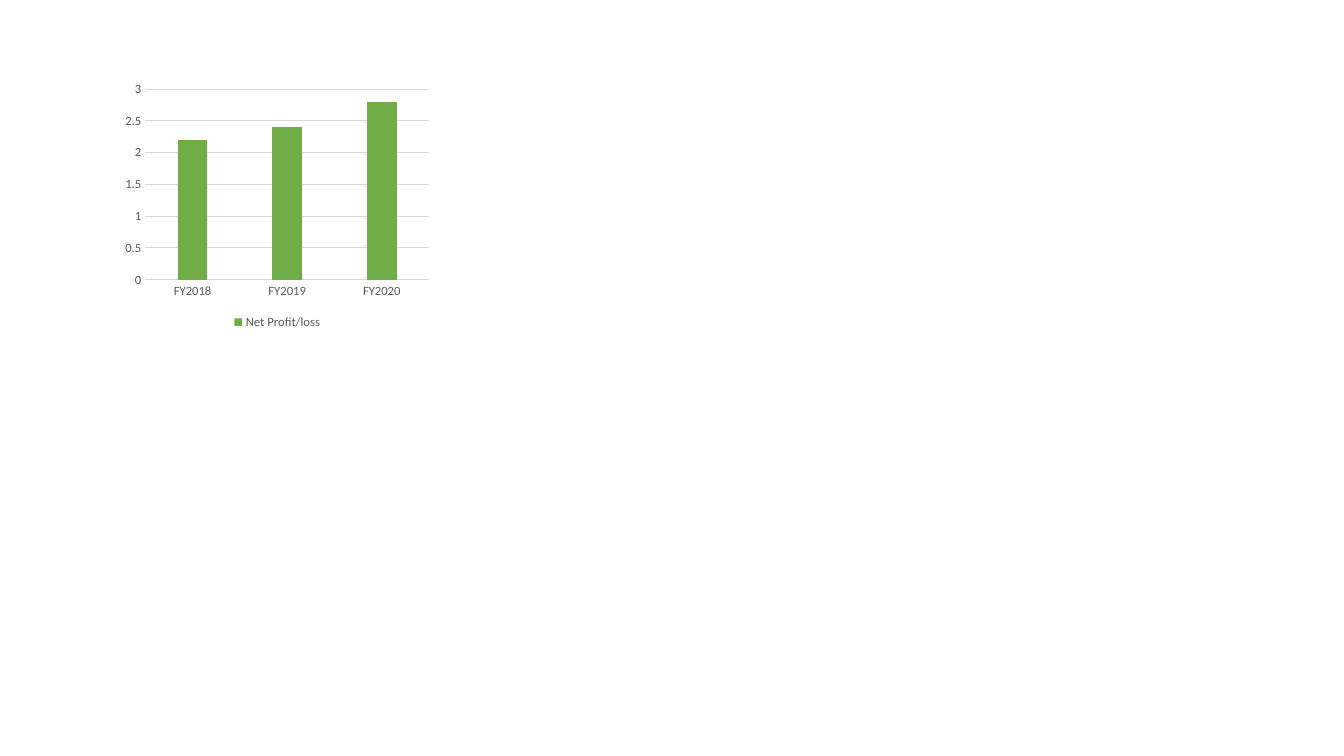
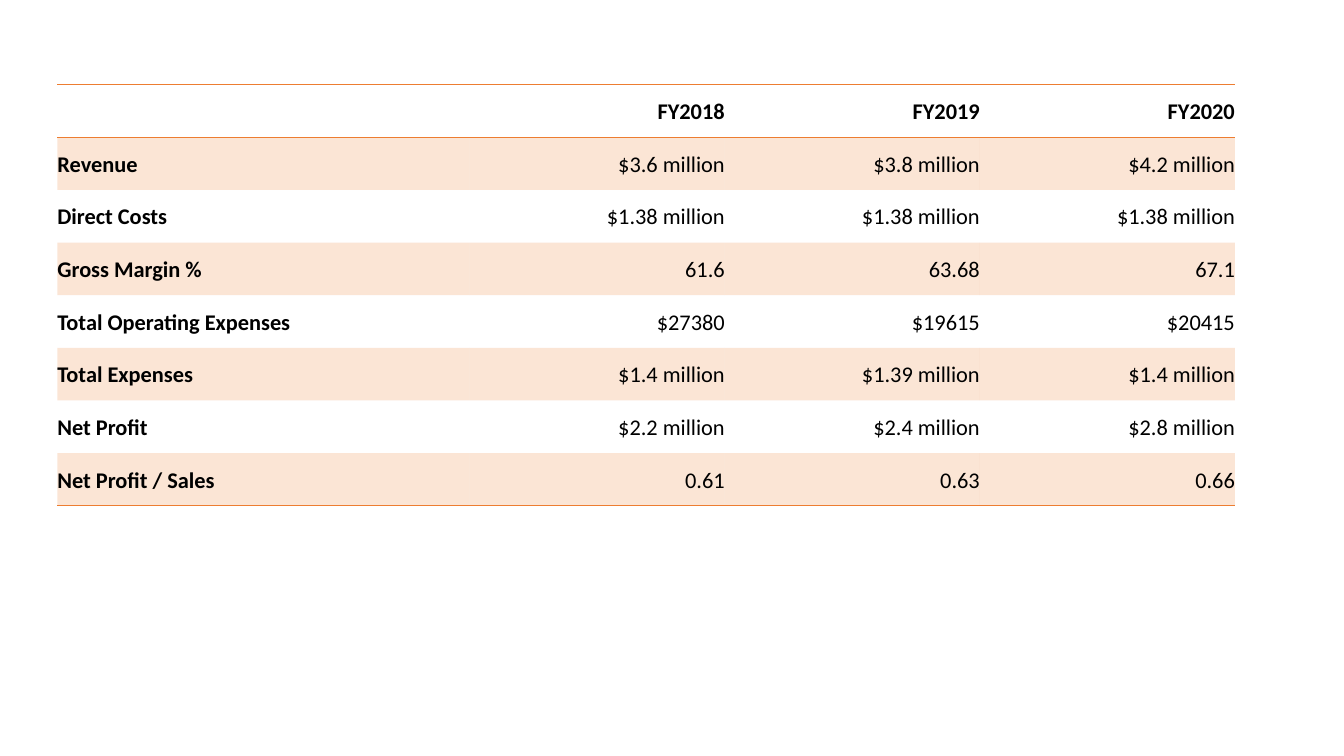
"""Build a net profit chart slide and a three-year financial summary slide."""
from lxml.etree import SubElement
from pptx import Presentation
from pptx.chart.data import CategoryChartData
from pptx.dml.color import RGBColor
from pptx.enum.chart import XL_CHART_TYPE as ChartType, XL_LEGEND_POSITION as LegendPosition
from pptx.enum.chart import XL_TICK_MARK as TickMark
from pptx.enum.text import MSO_ANCHOR as Anchor, PP_ALIGN as Align
from pptx.oxml.ns import qn
from pptx.util import Pt

YEARS = ["FY2018", "FY2019", "FY2020"]
PROFIT_NAME = "Net Profit/loss"
PROFITS = [2.2, 2.4, 2.8]
SUMMARY = [
    ["", *YEARS],
    ["Revenue", "$3.6 million", "$3.8 million", "$4.2 million"],
    ["Direct Costs", "$1.38 million", "$1.38 million", "$1.38 million"],
    ["Gross Margin %", "61.6", "63.68", "67.1"],
    ["Total Operating Expenses", "$27380", "$19615", "$20415"],
    ["Total Expenses", "$1.4 million", "$1.39 million", "$1.4 million"],
    ["Net Profit", "$2.2 million", "$2.4 million", "$2.8 million"],
    ["Net Profit / Sales", "0.61", "0.63", "0.66"],
]
COLORS = {"text": "000000", "label": "595959", "grid": "D9D9D9",
          "profit": "70AD47", "accent": "ED7D31"}
FONT = "Calibri"
CHART_BOX = (85, 54.7, 226, 183.6)
TABLE_LEFT, TABLE_TOP = 41, 60.5
LABEL_WIDTH, YEAR_WIDTH, ROW_HEIGHT = 294.5, 182.2, 37.6
BAND_OPACITY = 20


def color(name):
    return RGBColor.from_string(COLORS[name])


def style_font(font, size, name, bold=False):
    font.name, font.size, font.bold = FONT, Pt(size), bold
    font.color.rgb = color(name)


def style_line(line, name):
    line.color.rgb = color(name)
    line.width = Pt(0.75)


def add_profit_chart(page):
    data = CategoryChartData()
    data.categories = YEARS
    data.add_series(PROFIT_NAME, PROFITS)
    frame = page.shapes.add_chart(ChartType.COLUMN_CLUSTERED, *map(Pt, CHART_BOX), data)
    chart = frame.chart
    chart.has_title = False
    style_font(chart.font, 10, "text")
    chart.has_legend = True
    chart.legend.position = LegendPosition.BOTTOM
    chart.legend.include_in_layout = False
    style_font(chart.legend.font, 9, "label")
    for axis in (chart.category_axis, chart.value_axis):
        axis.major_tick_mark = axis.minor_tick_mark = TickMark.NONE
        style_font(axis.tick_labels.font, 9, "label")
    style_line(chart.category_axis.format.line, "grid")
    chart.value_axis.format.line.fill.background()
    style_line(chart.value_axis.major_gridlines.format.line, "grid")
    plot = chart.plots[0]
    plot.vary_by_categories = False
    plot.gap_width, plot.overlap = 219, -27
    fill = plot.series[0].format.fill
    fill.solid()
    fill.fore_color.rgb = color("profit")


def set_borders(cell, ruled_sides):
    properties = cell._tc.get_or_add_tcPr()
    for side in "LRTB":
        line = SubElement(properties, qn(f"a:ln{side}"), w=str(Pt(1)))
        if side in ruled_sides:
            solid = SubElement(line, qn("a:solidFill"))
            SubElement(solid, qn("a:srgbClr"), val=COLORS["accent"])
        else:
            SubElement(line, qn("a:noFill"))


def fill_band(cell, banded):
    if not banded:
        cell.fill.background()
        return
    cell.fill.solid()
    cell.fill.fore_color.rgb = color("accent")
    tint = cell._tc.tcPr.find(qn("a:solidFill")).find(qn("a:srgbClr"))
    SubElement(tint, qn("a:alpha"), val=str(BAND_OPACITY * 1000))


def add_summary_table(page):
    row_count, column_count = len(SUMMARY), len(SUMMARY[0])
    widths = [LABEL_WIDTH] + [YEAR_WIDTH] * len(YEARS)
    box = (TABLE_LEFT, TABLE_TOP, sum(widths), ROW_HEIGHT * row_count)
    table = page.shapes.add_table(row_count, column_count, *map(Pt, box)).table
    table.first_row = table.horz_banding = False
    for column, width in zip(table.columns, widths):
        column.width = Pt(width)
    ruled_sides = {0: "TB", 1: "T", row_count - 1: "B"}
    for row_index, texts in enumerate(SUMMARY):
        table.rows[row_index].height = Pt(ROW_HEIGHT)
        for column_index, text in enumerate(texts):
            cell = table.cell(row_index, column_index)
            cell.vertical_anchor = Anchor.MIDDLE
            cell.margin_left = cell.margin_right = 0
            cell.margin_top, cell.margin_bottom = Pt(1.5), Pt(3)
            set_borders(cell, ruled_sides.get(row_index, ""))
            fill_band(cell, row_index % 2 == 1)
            para = cell.text_frame.paragraphs[0]
            para.text = text
            para.line_spacing = 1.15
            para.alignment = Align.RIGHT if column_index else Align.LEFT
            style_font(para.font, 16, "text")
            for span in para.runs:
                style_font(span.font, 16, "text", row_index == 0 or column_index == 0)


deck = Presentation()
deck.slide_width, deck.slide_height = Pt(960), Pt(540)
for add_content in (add_profit_chart, add_summary_table):
    add_content(deck.slides.add_slide(deck.slide_layouts[6]))
deck.save("out.pptx")
